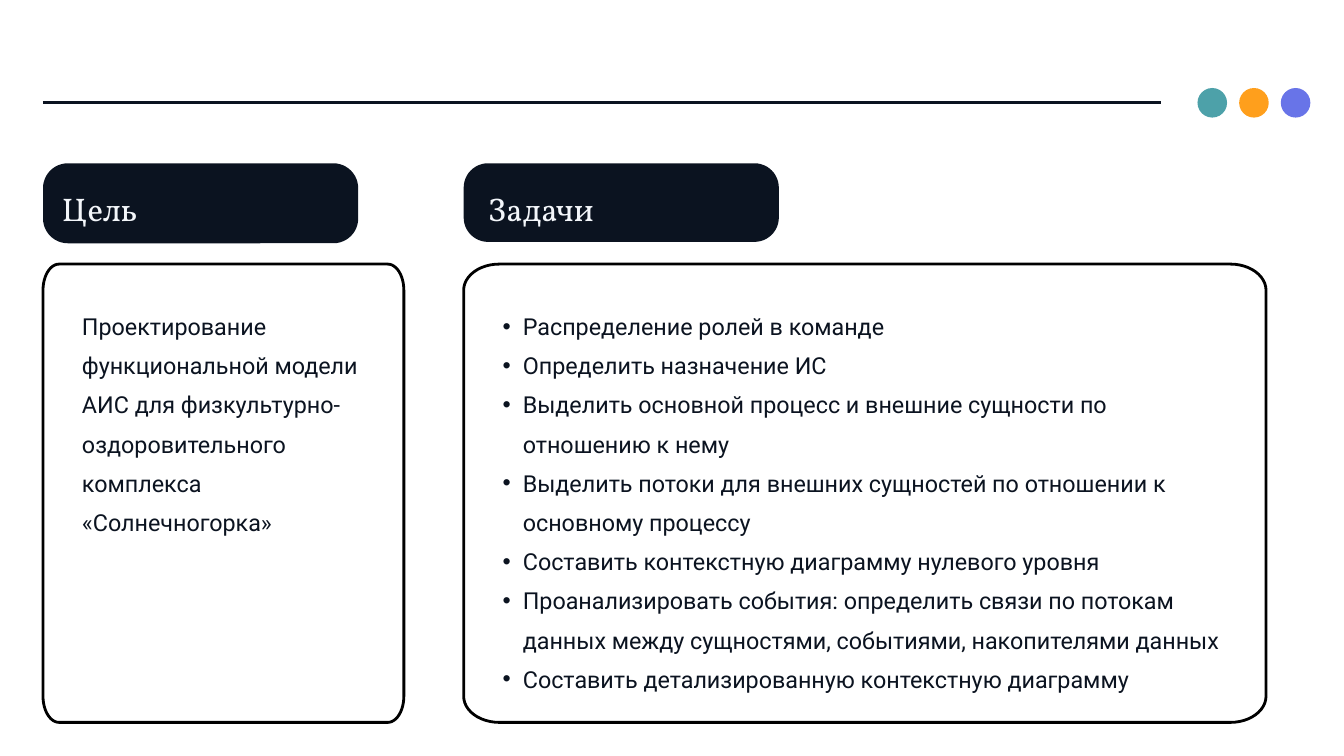
import math

from lxml import etree
from pptx import Presentation
from pptx.dml.color import RGBColor
from pptx.enum import shapes, text
from pptx.oxml import ns
from pptx.util import Inches, Pt

NAVY = RGBColor(0x0B, 0x13, 0x20)
PALE = RGBColor(0xF3, 0xF6, 0xFA)
BLACK = RGBColor(0, 0, 0)
DOT_COLOURS = [RGBColor(0x4D, 0xA1, 0xA9), RGBColor(0xFF, 0x9F, 0x1C), RGBColor(0x68, 0x74, 0xE8)]

GOAL = ["Проектирование функциональной модели АИС для физкультурно-оздоровительного "
        "комплекса «Солнечногорка»"]
TASKS = [
    "Распределение ролей в команде",
    "Определить назначение ИС",
    "Выделить основной процесс и внешние сущности по отношению к нему",
    "Выделить потоки для внешних сущностей по отношении к основному процессу",
    "Составить контекстную диаграмму нулевого уровня",
    "Проанализировать события: определить связи по потокам данных между сущностями, "
    "событиями, накопителями данных",
    "Составить детализированную контекстную диаграмму",
]


def write(ph, lines, box, *, size, font, colour, spacing, margin=0, hanging=0, bullet=False):
    """Move a placeholder to the box, bring it to the front and fill it."""
    ph.left, ph.top, ph.width, ph.height = (Inches(v) for v in box)
    ph.element.getparent().append(ph.element)
    tf = ph.text_frame
    tf.word_wrap = True
    tf.auto_size = text.MSO_AUTO_SIZE.NONE
    tf.vertical_anchor = text.MSO_ANCHOR.TOP
    tf.margin_left = tf.margin_right = tf.margin_top = tf.margin_bottom = 0
    for i, line in enumerate(lines):
        p = tf.paragraphs[0] if i == 0 else tf.add_paragraph()
        p.line_spacing = spacing
        p.space_before = p.space_after = Pt(0)
        r = p.add_run()
        r.text = line
        r.font.size = Pt(size)
        r.font.name = font
        r.font.bold = False
        r.font.color.rgb = colour
        pPr = p._p.get_or_add_pPr()
        pPr.set("marL", str(Inches(margin)))
        pPr.set("indent", str(Inches(-hanging)))
        if bullet:
            etree.SubElement(pPr, ns.qn("a:buChar")).set("char", "•")
        else:
            etree.SubElement(pPr, ns.qn("a:buNone"))


def add_filled(s, kind, box, colour):
    sp = s.shapes.add_shape(kind, *(Inches(v) for v in box))
    sp.shadow.inherit = False
    sp.fill.solid()
    sp.fill.fore_color.rgb = colour
    sp.line.fill.background()
    return sp


def add_frame(s, x, y, w, h, rx, ry):
    """Outline a box whose corners are quarter ellipses of radii rx and ry."""
    centres = [(x + w - rx, y + h - ry), (x + rx, y + h - ry),
               (x + rx, y + ry), (x + w - rx, y + ry)]
    points = []
    for quarter, (cx, cy) in enumerate(centres):
        for step in range(13):
            angle = math.radians(90 * quarter + 7.5 * step)
            points.append((Inches(cx + rx * math.cos(angle)), Inches(cy + ry * math.sin(angle))))
    builder = s.shapes.build_freeform(*points[0])
    builder.add_line_segments(points[1:], close=True)
    sp = builder.convert_to_shape()
    sp.shadow.inherit = False
    sp.fill.background()
    sp.line.color.rgb = BLACK
    sp.line.width = Pt(3)


def add_header_rule(s, x, y, w):
    rule = s.shapes.add_connector(shapes.MSO_CONNECTOR.STRAIGHT,
                                  Inches(x), Inches(y), Inches(x + w), Inches(y))
    rule.line.color.rgb = NAVY
    rule.line.width = Pt(3)
    etree.SubElement(rule._element.spPr, ns.qn("a:effectLst"))
    size, pitch = 0.44, 0.62
    for i, colour in enumerate(DOT_COLOURS):
        box = (x + w + 0.55 + i * pitch, y - size / 2, size, size)
        add_filled(s, shapes.MSO_SHAPE.OVAL, box, colour)


def add_panel(s, box, heading, body, title, lines, *, tab_h, corner, title_inset, body_box, **fmt):
    """Place a dark heading tab above a framed body; body_box is relative to the panel."""
    x, y, w, h = box
    add_frame(s, x, y + 1.5, w, h - 1.5, corner, 0.39)
    tab = add_filled(s, shapes.MSO_SHAPE.ROUNDED_RECTANGLE, (x, y, 4.69, tab_h), NAVY)
    tab.adjustments[0] = 0.31
    dx, dy, bw, bh = body_box
    write(body, lines, (x + dx, y + dy, bw, bh), size=25, font="Roboto", colour=NAVY,
          spacing=1.4, **fmt)
    write(heading, [title], (x + title_inset, y + 0.2, 3.9, 0.77), size=35, font="Vollkorn",
          colour=PALE, spacing=1.3)


def main():
    prs = Presentation()
    prs.slide_width, prs.slide_height = Inches(20), Inches(11.25)
    s = prs.slides.add_slide(prs.slide_layouts.get_by_name("Comparison"))
    parts = {ph.placeholder_format.idx: ph for ph in s.placeholders}
    for idx, ph in parts.items():
        if idx not in (1, 2, 3, 4):
            ph.element.getparent().remove(ph.element)

    add_panel(s, (0.64, 2.43, 5.37, 8.32), parts[1], parts[2], "Цель", GOAL,
              tab_h=1.19, corner=0.24, title_inset=0.28, body_box=(0.28, 2.05, 4.67, 3.53),
              margin=0.3)
    add_panel(s, (6.9, 2.43, 11.94, 8.32), parts[3], parts[4], "Задачи", TASKS,
              tab_h=1.17, corner=0.53, title_inset=0.36, body_box=(0.29, 2.05, 11.25, 5.89),
              margin=0.59, hanging=0.3, bullet=True)
    add_header_rule(s, 0.64, 1.53, 16.63)
    prs.save("out.pptx")


if __name__ == "__main__":
    main()
